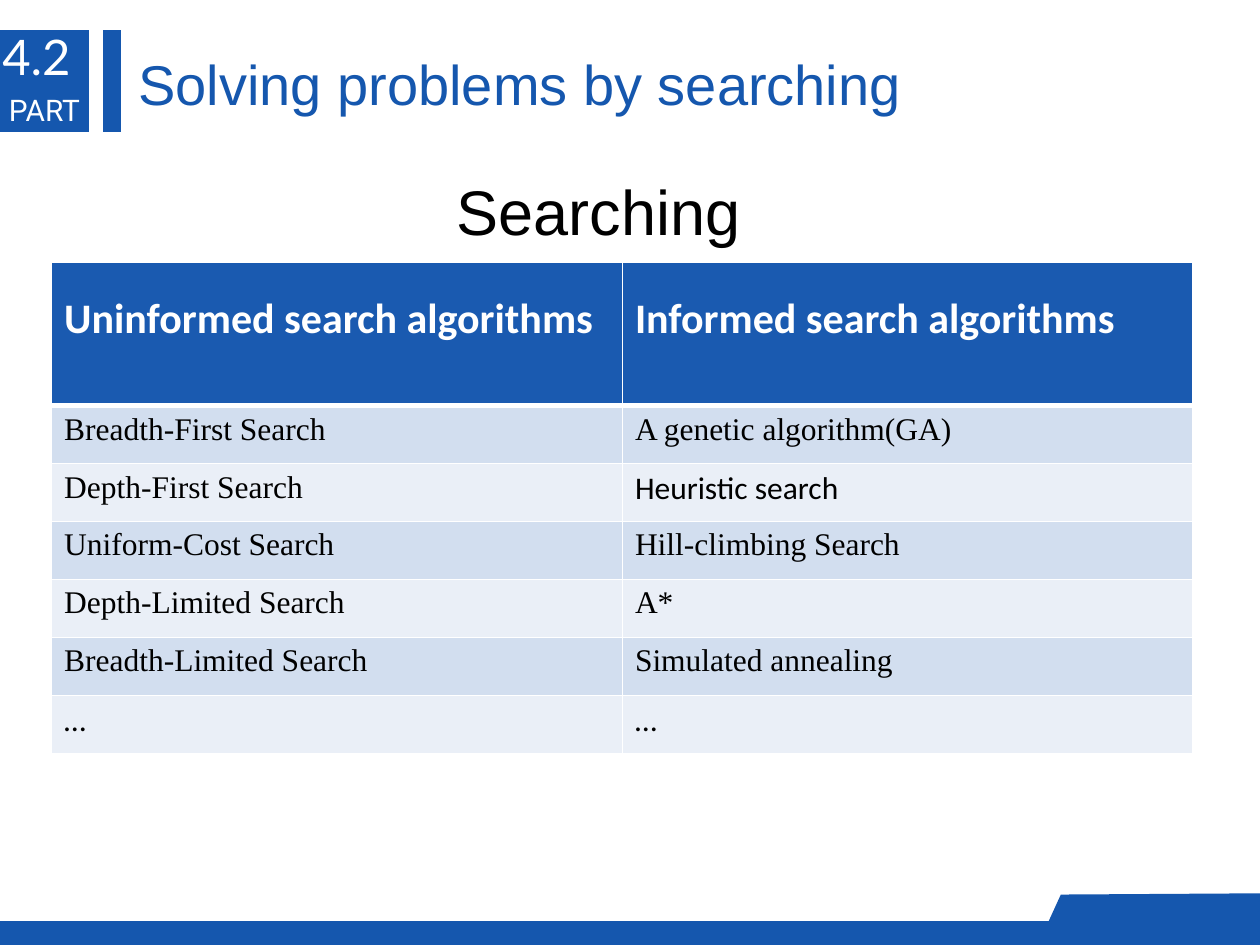
from pptx import Presentation
from pptx.dml.color import RGBColor
from pptx.enum.shapes import MSO_SHAPE
from pptx.enum.text import MSO_ANCHOR, MSO_AUTO_SIZE, PP_ALIGN
from pptx.oxml import parse_xml
from pptx.oxml.ns import nsdecls
from pptx.util import Inches, Pt

BLUE = "1557AE"
WHITE = "FFFFFF"
BLACK = "000000"
HEADER_FILL = "1A5AB0"
BAND_FILLS = ("D2DEEF", "EAEFF7")
SERIF = "Times New Roman"

HEADERS = ("Uninformed search algorithms", "Informed search algorithms")
# Each cell is its text and its font.
ALGORITHMS = (
    (("Breadth-First Search", SERIF), ("A genetic algorithm(GA)", SERIF)),
    (("Depth-First Search", SERIF), ("Heuristic search", "Calibri")),
    (("Uniform-Cost Search", SERIF), ("Hill-climbing Search", SERIF)),
    (("Depth-Limited Search", SERIF), ("A*", SERIF)),
    (("Breadth-Limited Search", SERIF), ("Simulated annealing", SERIF)),
    (("…", "Calibri"), ("…", "Calibri")),
)


def color(hex_string):
    return RGBColor.from_string(hex_string)


def paint(shape, fill):
    """Give a shape a plain fill without outline or shadow."""
    shape.shadow.inherit = False
    shape.fill.solid()
    shape.fill.fore_color.rgb = color(fill)
    shape.line.fill.background()


def add_block(slide, left, top, width, height):
    shape = slide.shapes.add_shape(
        MSO_SHAPE.FLOWCHART_PROCESS,
        Inches(left), Inches(top), Inches(width), Inches(height))
    paint(shape, BLUE)


def add_footer_tab(slide):
    builder = slide.shapes.build_freeform(
        Inches(10), Inches(7.45), scale=1.0)
    corners = ((10, 7.09), (8.42, 7.1), (8.26, 7.45))
    builder.add_line_segments([(Inches(x), Inches(y)) for x, y in corners])
    paint(builder.convert_to_shape(), BLUE)


def add_run(paragraph, text, size, font, hex_string, bold=False):
    run = paragraph.add_run()
    run.text = text
    run.font.size = Pt(size)
    run.font.name = font
    run.font.bold = bold
    run.font.color.rgb = color(hex_string)


def add_text(slide, box, text, size, font, hex_string, wrap=True, grow=True):
    shape = slide.shapes.add_textbox(*(Inches(length) for length in box))
    frame = shape.text_frame
    frame.word_wrap = wrap
    frame.auto_size = (MSO_AUTO_SIZE.SHAPE_TO_FIT_TEXT if grow
                       else MSO_AUTO_SIZE.NONE)
    add_run(frame.paragraphs[0], text, size, font, hex_string)
    return frame


def set_borders(cell, **widths):
    """Draw white cell borders; widths are points, in order lnL, lnR, lnT, lnB."""
    properties = cell._tc.get_or_add_tcPr()
    for position, (tag, width) in enumerate(widths.items()):
        border = parse_xml(
            f'<a:{tag} {nsdecls("a")} w="{Pt(width)}"><a:solidFill>'
            f'<a:srgbClr val="{WHITE}"/></a:solidFill></a:{tag}>')
        properties.insert(position, border)


def fill_cell(cell, text, size, font, hex_string, fill, bold=False):
    cell.fill.solid()
    cell.fill.fore_color.rgb = color(fill)
    paragraph = cell.text_frame.paragraphs[0]
    add_run(paragraph, text, size, font, hex_string, bold)
    return paragraph


def add_algorithm_table(slide):
    table = slide.shapes.add_table(
        len(ALGORITHMS) + 1, len(HEADERS),
        Inches(0.41), Inches(2.08), Inches(9.06), Inches(3.9)).table
    for row in table.rows:
        row.height = Inches(0.46)
    table.rows[0].height = Inches(1.14)

    for column, header in enumerate(HEADERS):
        cell = table.cell(0, column)
        paragraph = fill_cell(
            cell, header, 24, "Calibri", WHITE, HEADER_FILL, bold=True)
        paragraph.line_spacing = 1.5
        set_borders(cell, lnL=1, lnR=1, lnT=1, lnB=3)

    for row, algorithms in enumerate(ALGORITHMS, start=1):
        for column, (text, font) in enumerate(algorithms):
            cell = table.cell(row, column)
            fill_cell(cell, text, 18, font, BLACK, BAND_FILLS[(row - 1) % 2])
            set_borders(cell, lnL=1, lnR=1, lnT=3 if row == 1 else 1, lnB=1)


def add_heading(slide):
    add_text(slide, (-0.08, 0.16, 0.91, 0.57), "4.2", 28, "Lato", WHITE)
    part = add_text(slide, (0.07, 0.73, 0.6, 0.29), "PART", 17, "Roboto",
                    WHITE, wrap=False)
    part.margin_left = part.margin_right = 0
    part.margin_top = part.margin_bottom = 0
    add_text(slide, (1, 0.34, 6.3, 0.64), "Solving problems by searching",
             32, "Arial", BLUE, wrap=False)
    subtitle = add_text(slide, (0.25, 1.26, 9, 0.82), "Searching",
                        36, "Arial", BLACK, grow=False)
    subtitle.vertical_anchor = MSO_ANCHOR.MIDDLE
    subtitle.paragraphs[0].alignment = PP_ALIGN.CENTER


def main():
    presentation = Presentation()
    presentation.slide_width = Inches(10)
    presentation.slide_height = Inches(7.5)
    slide = presentation.slides.add_slide(presentation.slide_layouts[6])

    add_block(slide, 0, 0.24, 0.71, 0.81)
    add_block(slide, 0.82, 0.24, 0.14, 0.81)
    add_block(slide, 0, 7.31, 10, 0.19)
    add_footer_tab(slide)
    add_heading(slide)
    add_algorithm_table(slide)

    presentation.save("out.pptx")


if __name__ == "__main__":
    main()
